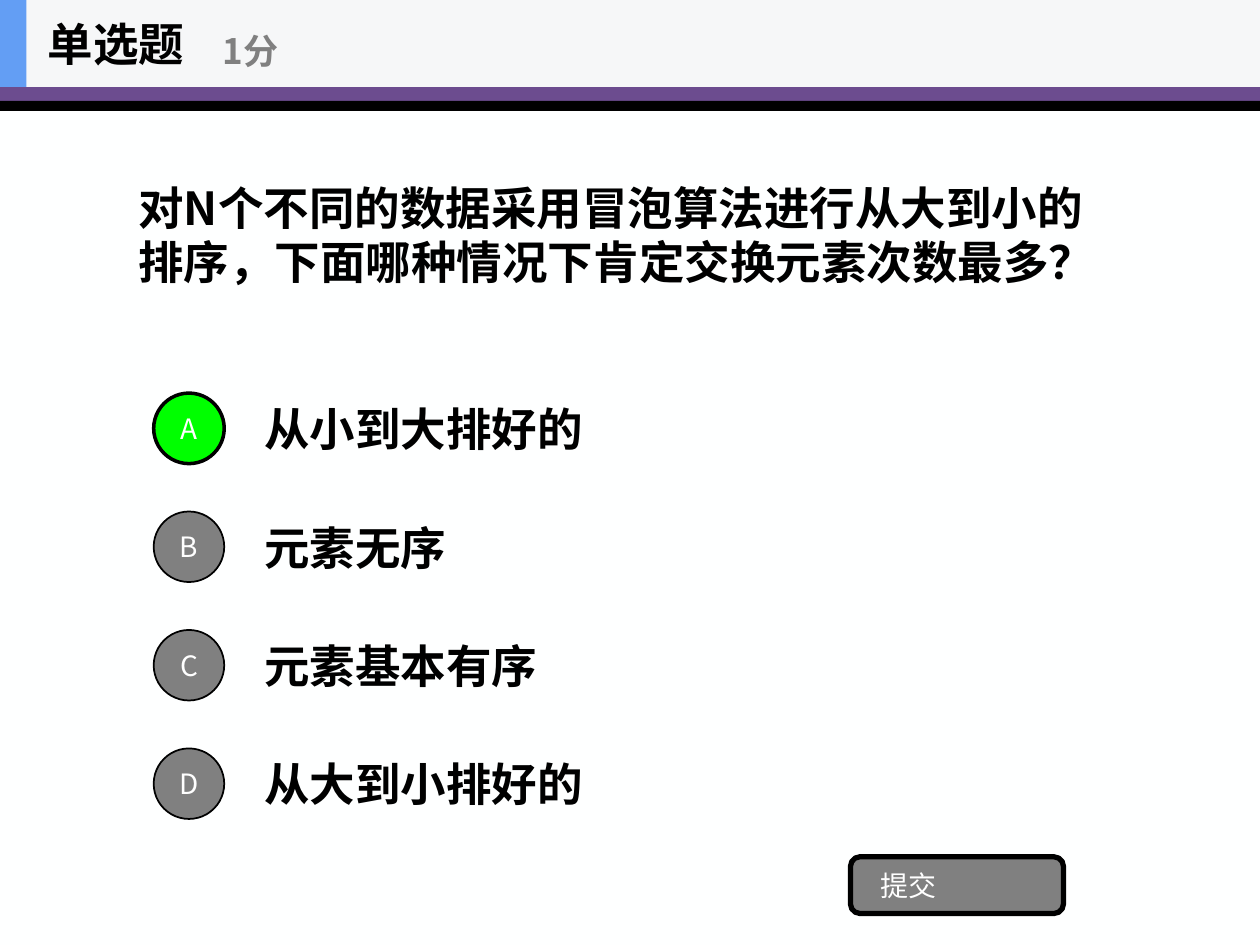
from lxml import etree
from pptx import Presentation
from pptx.dml.color import RGBColor
from pptx.enum import shapes, text
from pptx.oxml.ns import qn
from pptx.util import Inches, Pt

FONT = "Noto Sans CJK SC"
COLORS = {"bg": "FEFFFF", "purple": "6C4C8F", "black": "000000", "green": "00FF00",
          "gray": "808080", "white": "FFFFFF", "header": "F6F7F8", "blue": "639EF4"}
QUESTION = "对N个不同的数据采用冒泡算法进行从大到小的排序，下面哪种情况下肯定交换元素次数最多？"
OPTIONS = [("A", "从小到大排好的"), ("B", "元素无序"),
           ("C", "元素基本有序"), ("D", "从大到小排好的")]
ANSWER = "A"
BARS = [((0, 0.21, 10, 0.59), "purple"), ((0, 0.8, 10, 0.08), "black"),
        ((0, 0, 10, 0.69), "header"), ((0, 0, 0.21, 0.69), "blue")]
LABELS = [((0.28, 0, 2.08, 0.69), "单选题", 26, "black"),
          ((1.67, 0.12, 2.5, 0.56), "1分", 20, "gray"),
          ((1, 0.69, 8, 2.34), QUESTION, 26, "black")]
OPTION_TOP, OPTION_PITCH, OPTION_HEIGHT, CIRCLE = 3.05, 0.94, 0.7, 0.56


def rgb(name):
    return RGBColor.from_string(COLORS[name])


def write(sp, content, size, color, bold=False, align=text.PP_ALIGN.LEFT):
    tf = sp.text_frame
    tf.word_wrap = True
    tf.vertical_anchor = text.MSO_ANCHOR.MIDDLE
    tf.text = content
    p = tf.paragraphs[0]
    p.alignment = align
    r = p.runs[0]
    r.font.size, r.font.bold, r.font.name = Pt(size), bold, FONT
    r.font.color.rgb = rgb(color)
    ea = etree.SubElement(r.font._element, qn("a:ea"))
    ea.set("typeface", FONT)
    return tf


def add_label(s, box, content, size, color):
    sp = s.shapes.add_textbox(*map(Inches, box))
    write(sp, content, size, color, bold=True)


def add_shape(s, kind, box, fill, line=0):
    sp = s.shapes.add_shape(kind, *map(Inches, box))
    sp.shadow.inherit = False
    sp.fill.solid()
    sp.fill.fore_color.rgb = rgb(fill)
    if line:
        sp.line.color.rgb = rgb("black")
        sp.line.width = Pt(line)
    else:
        sp.line.fill.background()
    return sp


def main():
    prs = Presentation()
    prs.slide_width, prs.slide_height = Inches(10), Inches(7.5)
    s = prs.slides.add_slide(prs.slide_layouts[6])
    s.background.fill.solid()
    s.background.fill.fore_color.rgb = rgb("bg")
    kinds = shapes.MSO_SHAPE
    for box, fill in BARS:
        add_shape(s, kinds.RECTANGLE, box, fill)
    for label in LABELS:
        add_label(s, *label)
    for i, (letter, answer) in enumerate(OPTIONS):
        top = OPTION_TOP + i * OPTION_PITCH
        add_label(s, (2, top, 7, OPTION_HEIGHT), answer, 26, "black")
        right = letter == ANSWER
        circle_top = top + (OPTION_HEIGHT - CIRCLE) / 2
        sp = add_shape(s, kinds.OVAL, (1.22, circle_top, CIRCLE, CIRCLE),
                       "green" if right else "gray", 2 if right else 1)
        tf = write(sp, letter, 16, "white", align=text.PP_ALIGN.CENTER)
        tf.margin_left = tf.margin_right = tf.margin_top = tf.margin_bottom = 0
    button = add_shape(s, kinds.ROUNDED_RECTANGLE, (6.75, 6.8, 1.69, 0.45), "gray", 3)
    write(button, "提交", 16, "white").margin_left = Inches(0.22)
    prs.save("out.pptx")


if __name__ == "__main__":
    main()
